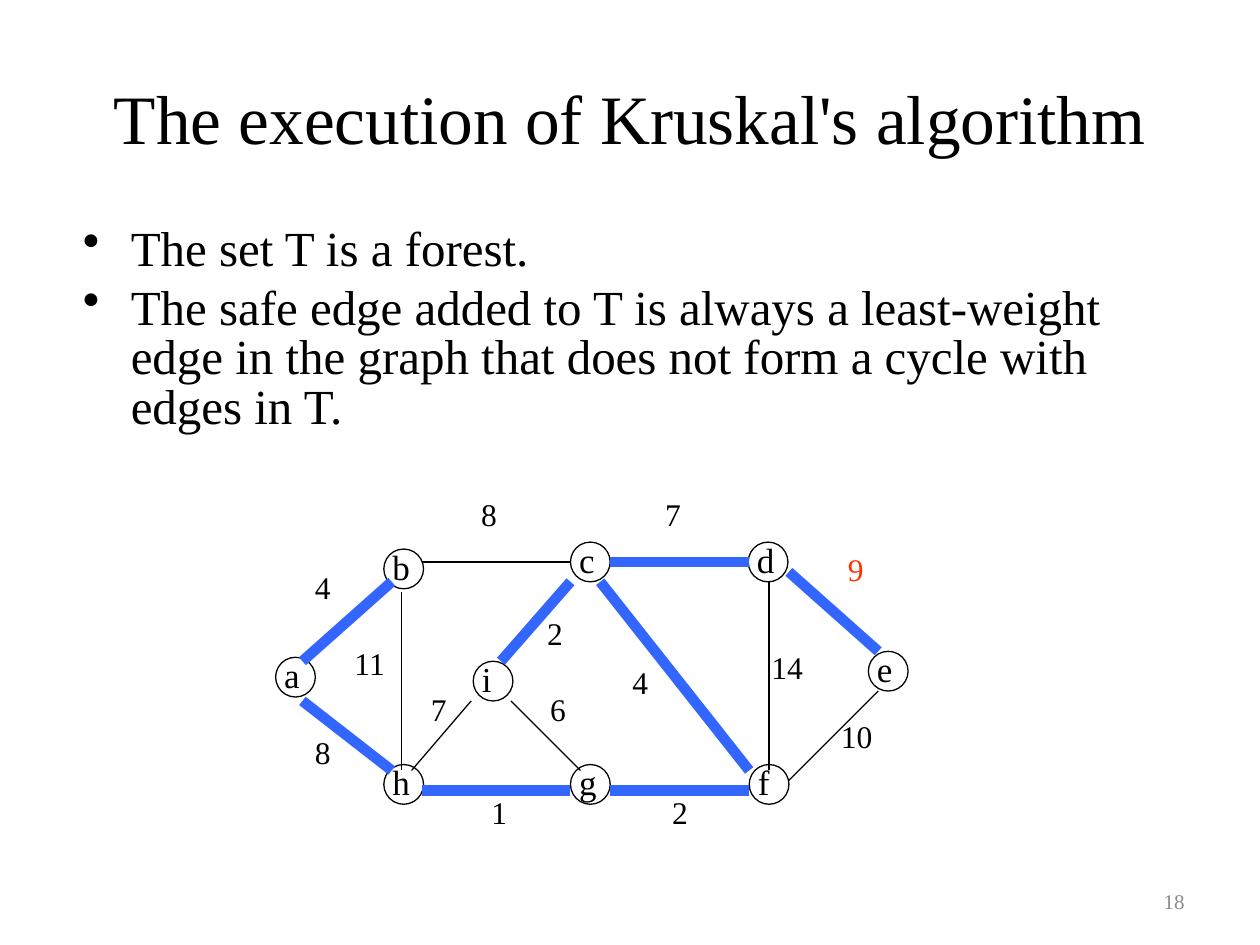
from lxml import etree
from pptx import Presentation
from pptx.dml.color import RGBColor
from pptx.enum.shapes import MSO_CONNECTOR, MSO_SHAPE
from pptx.enum.text import MSO_ANCHOR, MSO_AUTO_SIZE, PP_ALIGN
from pptx.oxml.ns import qn
from pptx.util import Inches, Pt

LINE, CIRCLE = MSO_CONNECTOR.STRAIGHT, MSO_SHAPE.OVAL
TOP, MIDDLE = MSO_ANCHOR.TOP, MSO_ANCHOR.MIDDLE
LEFT, CENTER, RIGHT = PP_ALIGN.LEFT, PP_ALIGN.CENTER, PP_ALIGN.RIGHT
FIT_SHAPE = MSO_AUTO_SIZE.SHAPE_TO_FIT_TEXT
FONT = "Times New Roman"
BLACK, BLUE, RED, GRAY = "000000", "3366FF", "FF3300", "8C8C8C"

# The graph sits on a fine grid of square cells
CELL, ORIGIN_X, ORIGIN_Y = 0.0788, 2.4, 4.46


def color(value):
    return RGBColor.from_string(value)


def add_text(left, top, width, height, lines, size, ink=BLACK,
             align=LEFT, anchor=TOP, wrap=True):
    box = slide.shapes.add_textbox(Inches(left), Inches(top), Inches(width), Inches(height))
    frame = box.text_frame
    frame.word_wrap = wrap
    frame.vertical_anchor = anchor
    if not wrap:
        frame.auto_size = FIT_SHAPE
    for index, line in enumerate(lines):
        para = frame.add_paragraph() if index else frame.paragraphs[0]
        para.alignment = align
        span = para.add_run()
        span.text = line
        span.font.name, span.font.size = FONT, Pt(size)
        span.font.color.rgb = color(ink)
    return frame


deck = Presentation()
deck.slide_width, deck.slide_height = Inches(10), Inches(7.5)
slide = deck.slides.add_slide(deck.slide_layouts[6])

# Title, bullets and page number
add_text(0.5, 0.3, 9, 1.25, ["The execution of Kruskal's algorithm"], 39.6,
         align=CENTER, anchor=MIDDLE)
body = add_text(0.5, 1.75, 9, 1.8, [
    "The set T is a forest.",
    "The safe edge added to T is always a least-weight edge in the graph "
    "that does not form a cycle with edges in T.",
], 28)
for index, para in enumerate(body.paragraphs):
    para.line_spacing = 0.84
    para.space_before = Pt(5.6 if index else 0)
    properties = para._p.get_or_add_pPr()
    properties.set("marL", str(Inches(0.44)))
    properties.set("indent", str(Inches(-0.38)))
    etree.SubElement(properties, qn("a:buChar")).set("char", "•")
add_text(7.17, 6.95, 2.33, 0.4, ["18"], 12, GRAY, RIGHT, MIDDLE)

# Nodes: name, column and row of the circle, width of the letter box
nodes = [
    ("a", -2.7, 9.6, 0.32), ("b", 8.2, -1.3, 0.34), ("h", 8.2, 20.4, 0.34),
    ("c", 27, -2, 0.32), ("d", 44.9, -2, 0.34), ("e", 57, 9, 0.32),
    ("f", 45, 20.4, 0.29), ("g", 27, 20.4, 0.34), ("i", 17.2, 10, 0.28),
]
for name, column, row, width in nodes:
    x, y = ORIGIN_X + column * CELL, ORIGIN_Y + row * CELL
    add_text(x - 0.03, y - 0.08, width, 0.43, [name], 20, wrap=False)
    circle = slide.shapes.add_shape(CIRCLE, Inches(x), Inches(y),
                                    Inches(4 * CELL), Inches(4 * CELL))
    circle.shadow.inherit = False
    circle.fill.background()
    circle.line.color.rgb = color(BLACK)
    circle.line.width = Pt(0.75)

# Edges: start and end cells, and whether the edge belongs to T
edges = [
    (0, 10, 9, 2, True), (0, 14, 9, 21, True),        # a-b, a-h
    (10, 3, 10, 21, False), (12, 0, 27, 0, False),    # b-h, b-c
    (12, 23, 27, 23, True), (31, 23, 45, 23, True),   # h-g, g-f
    (30, 2, 45, 21, True), (31, 0, 45, 0, True),      # c-f, c-d
    (47, 2, 47, 21, False), (49, 1, 58, 9, True),     # d-f, d-e
    (49, 22, 58, 13, False), (21, 14, 28, 21, False), # f-e, i-g
    (11, 21, 17, 14, False), (20, 10, 27, 2, True),   # h-i, i-c
]
for x1, y1, x2, y2, in_tree in edges:
    edge = slide.shapes.add_connector(
        LINE, Inches(ORIGIN_X + x1 * CELL), Inches(ORIGIN_Y + y1 * CELL),
        Inches(ORIGIN_X + x2 * CELL), Inches(ORIGIN_Y + y2 * CELL))
    edge.line.color.rgb = color(BLUE if in_tree else BLACK)
    edge.line.width = Pt(6 if in_tree else 0.75)
    etree.SubElement(edge._element.spPr, qn("a:effectLst"))

# Edge weights: column and row of each label
weights = [
    ("4", 0, 0), ("8", 16.75, -7.4), ("7", 35.3, -7.4), ("9", 53.7, -1.8),
    ("10", 53, 15), ("14", 46, 8), ("4", 32, 9.6), ("2", 23.4, 4.6),
    ("2", 36, 22.6), ("6", 23.7, 12.3), ("1", 17.8, 22.6), ("7", 11.7, 12.3),
    ("11", 4, 7.6), ("8", 0, 16.6),
]
for weight, column, row in weights:
    add_text(ORIGIN_X + column * CELL, ORIGIN_Y + row * CELL,
             0.37 if len(weight) == 1 else 0.53, 0.5, [weight], 18,
             RED if weight == "9" else BLACK, wrap=False)

deck.save("out.pptx")
